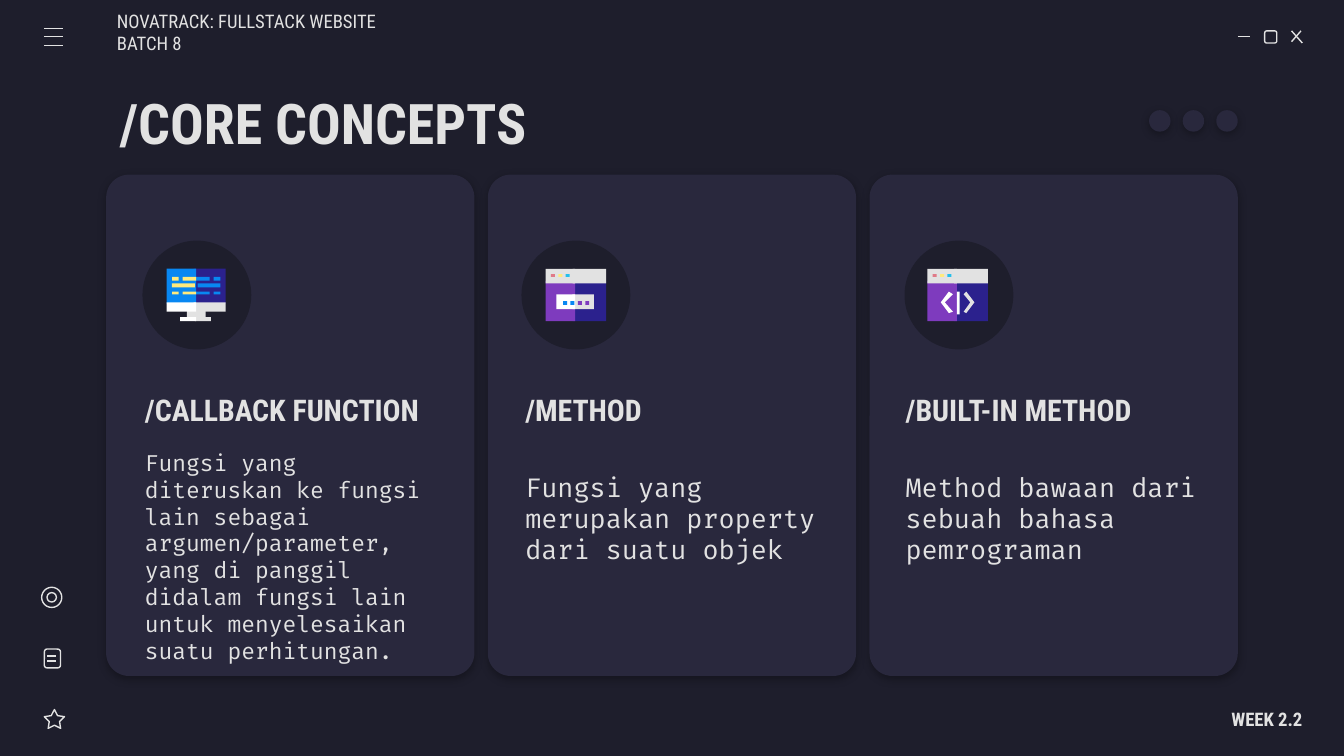
from dataclasses import dataclass
from lxml import etree
from pptx import Presentation
from pptx.dml.color import RGBColor
from pptx.enum.shapes import MSO_CONNECTOR, MSO_SHAPE as SHAPE
from pptx.enum.text import MSO_ANCHOR, MSO_AUTO_SIZE, PP_ALIGN as ALIGN
from pptx.oxml import parse_xml
from pptx.oxml.ns import nsdecls, qn
from pptx.util import Inches, Pt


@dataclass(frozen=True)
class Theme:
    bg: str = "1E1E2C"
    card: str = "29283D"
    light: str = "E2E2E2"
    white: str = "FFFFFF"
    purple: str = "7E3BBE"
    indigo: str = "2B218D"
    blue: str = "0887F2"
    cyan: str = "24BFEB"
    yellow: str = "FFEA7D"
    pink: str = "E07A88"
    heading_font: str = "Roboto Condensed"
    body_font: str = "Fira Code"
    title_size: int = 30
    heading_size: int = 16
    body_size: int = 14
    small_body_size: int = 12
    label_size: int = 10
    line_width: float = 0.75


theme = Theme()
SHADOW = (
    f'<a:effectLst {nsdecls("a")}><a:outerShdw blurRad="57150" dist="19050" dir="5400000" '
    'algn="bl" rotWithShape="0"><a:srgbClr val="000000"><a:alpha val="30000"/></a:srgbClr>'
    '</a:outerShdw></a:effectLst>'
)

prs = Presentation()
prs.slide_width, prs.slide_height = Inches(10), Inches(10 * 9 / 16)
s = prs.slides.add_slide(prs.slide_layouts[5])
s.background.fill.solid()
s.background.fill.fore_color.rgb = RGBColor.from_string(theme.bg)


def add_box(kind, x, y, w, h, fill=None, adj=None, shadow=False):
    sp = s.shapes.add_shape(kind, Inches(x), Inches(y), Inches(w), Inches(h))
    sp.shadow.inherit = False
    if fill:
        sp.fill.solid()
        sp.fill.fore_color.rgb = RGBColor.from_string(fill)
        sp.line.fill.background()
    else:
        sp.fill.background()
        sp.line.color.rgb = RGBColor.from_string(theme.light)
        sp.line.width = Pt(theme.line_width)
    if adj is not None:
        sp.adjustments[0] = adj
    if shadow:
        sp_pr = sp.element.spPr
        sp_pr.replace(sp_pr.find(qn("a:effectLst")), parse_xml(SHADOW))


def write(text, x, y, w, h, size, font=theme.heading_font, bold=True,
          align=ALIGN.LEFT, left=0.1, right=0.1, sp=None):
    if sp is None:
        sp = s.shapes.add_textbox(0, 0, 0, 0)
    sp.left, sp.top, sp.width, sp.height = Inches(x), Inches(y), Inches(w), Inches(h)
    tf = sp.text_frame
    tf.text = text
    tf.word_wrap = True
    tf.auto_size = MSO_AUTO_SIZE.NONE
    tf.vertical_anchor = MSO_ANCHOR.MIDDLE
    tf.margin_left, tf.margin_right = Inches(left), Inches(right)
    tf.margin_top = tf.margin_bottom = Inches(0.1)
    p = tf.paragraphs[0]
    p.alignment = align
    r = p.runs[0]
    r.font.name, r.font.size, r.font.bold = font, Pt(size), bold
    r.font.color.rgb = RGBColor.from_string(theme.light)


write("/CORE CONCEPTS", 0.79, 0.59, 4.97, 0.63, theme.title_size, sp=s.shapes.title)
write("NOVATRACK: FULLSTACK WEBSITE BATCH 8", 0.87, 0.09, 2.29, 0.3, theme.label_size,
      bold=False, left=0)
write("WEEK 2.2", 8.52, 5.2, 1.17, 0.3, theme.label_size, align=ALIGN.RIGHT, right=0)

cards = [
    ("/CALLBACK FUNCTION",
     "Fungsi yang diteruskan ke fungsi lain sebagai argumen/parameter, yang di panggil "
     "didalam fungsi lain untuk menyelesaikan suatu perhitungan.",
     1.06, 3.3, 1.68, theme.small_body_size),
    ("/METHOD", "Fungsi yang merupakan property dari suatu objek",
     3.88, 3.31, 1.09, theme.body_size),
    ("/BUILT-IN METHOD", "Method bawaan dari sebuah bahasa pemrograman",
     6.73, 3.31, 1.09, theme.body_size),
]
for i, (heading, body, circle_x, body_y, body_h, body_size) in enumerate(cards):
    text_x = 0.98 + 2.83 * i
    add_box(SHAPE.ROUNDED_RECTANGLE, 0.79 + 2.84 * i, 1.3, 2.74, 3.73, theme.card, 0.062, True)
    add_box(SHAPE.OVAL, circle_x, 1.79, 0.81, 0.81, theme.bg)
    write(heading, text_x, 2.79, 2.38, 0.51, theme.heading_size)
    write(body, text_x, body_y, 2.38, body_h, body_size, theme.body_font, False)

for i in range(3):
    add_box(SHAPE.OVAL, 8.55 + 0.25 * i, 0.82, 0.16, 0.16, theme.card, shadow=True)

add_box(SHAPE.ROUNDED_RECTANGLE, 9.41, 0.23, 0.09, 0.09)
add_box(SHAPE.OVAL, 0.31, 4.37, 0.15, 0.15)
add_box(SHAPE.OVAL, 0.35, 4.41, 0.07, 0.07)
add_box(SHAPE.ROUNDED_RECTANGLE, 0.33, 4.83, 0.12, 0.14)
add_box(SHAPE.STAR_5_POINT, 0.33, 5.28, 0.15, 0.14, adj=0.254)

menu_lines = [(0.33, y, 0.47, y) for y in (0.21, 0.27, 0.34)]
note_lines = [(0.35, y, 0.42, y) for y in (4.88, 4.92)]
window_lines = [(9.21, 0.27, 9.3, 0.27), (9.61, 0.23, 9.69, 0.32), (9.68, 0.23, 9.61, 0.31)]
for ends in menu_lines + note_lines + window_lines:
    line = s.shapes.add_connector(MSO_CONNECTOR.STRAIGHT, *map(Inches, ends))
    line.line.color.rgb = RGBColor.from_string(theme.light)
    line.line.width = Pt(theme.line_width)
    etree.SubElement(line.element.spPr, qn("a:effectLst"))

monitor = [
    (1.44, 2, 0.24, 0.26, theme.indigo), (1.24, 2, 0.22, 0.26, theme.blue),
    (1.44, 2.3, 0.09, 0.07, theme.light), (1.39, 2.3, 0.07, 0.07, theme.light),
    (1.45, 2.36, 0.12, 0.03, theme.light), (1.34, 2.36, 0.12, 0.03, theme.white),
    (1.44, 2.25, 0.24, 0.07, theme.light), (1.24, 2.25, 0.22, 0.07, theme.white),
    (1.47, 2.11, 0.17, 0.03, theme.blue), (1.28, 2.11, 0.17, 0.03, theme.yellow),
]
for y, h in ((2.06, 0.03), (2.17, 0.02)):
    monitor += [
        (1.28, y, 0.05, h, theme.yellow), (1.59, y, 0.05, h, theme.blue),
        (1.45, y, 0.11, h, theme.blue), (1.36, y, 0.1, h, theme.yellow),
    ]

windows = []
for x in (4.06, 6.9):
    windows += [
        (x + 0.2, 2.09, 0.25, 0.3, theme.indigo), (x, 2.09, 0.22, 0.3, theme.purple),
        (x + 0.2, 2, 0.25, 0.11, theme.light), (x, 2, 0.22, 0.11, theme.light),
    ]
    for i, color in enumerate((theme.pink, theme.yellow, theme.cyan)):
        windows.append((x + 0.04 + 0.055 * i, 2.04, 0.03, 0.02, color))

field = [(4.26, 2.19, 0.16, 0.11, theme.light), (4.14, 2.19, 0.14, 0.11, theme.white)]
for i, color in enumerate((theme.blue, theme.blue, theme.purple, theme.purple)):
    field.append((4.19 + 0.055 * i, 2.24, 0.03, 0.03, color))

cursor = [(7.12, 2.17, 0.02, 0.17, theme.white)]
for x, y, w, h, color in monitor + windows + field + cursor:
    add_box(SHAPE.RECTANGLE, x, y, w, h, color)

chevrons = [
    ([(7.06, 2.17), (7, 2.25), (7.06, 2.33), (7.09, 2.32), (7.03, 2.25), (7.09, 2.19)],
     theme.white),
    ([(7.19, 2.17), (7.17, 2.19), (7.22, 2.25), (7.17, 2.32), (7.19, 2.33), (7.25, 2.25)],
     theme.light),
]
for points, color in chevrons:
    points = [(Inches(x), Inches(y)) for x, y in points]
    outline = s.shapes.build_freeform(*points[0])
    outline.add_line_segments(points[1:], close=True)
    chevron = outline.convert_to_shape()
    chevron.shadow.inherit = False
    chevron.fill.solid()
    chevron.fill.fore_color.rgb = RGBColor.from_string(color)
    chevron.line.fill.background()

prs.save("out.pptx")
